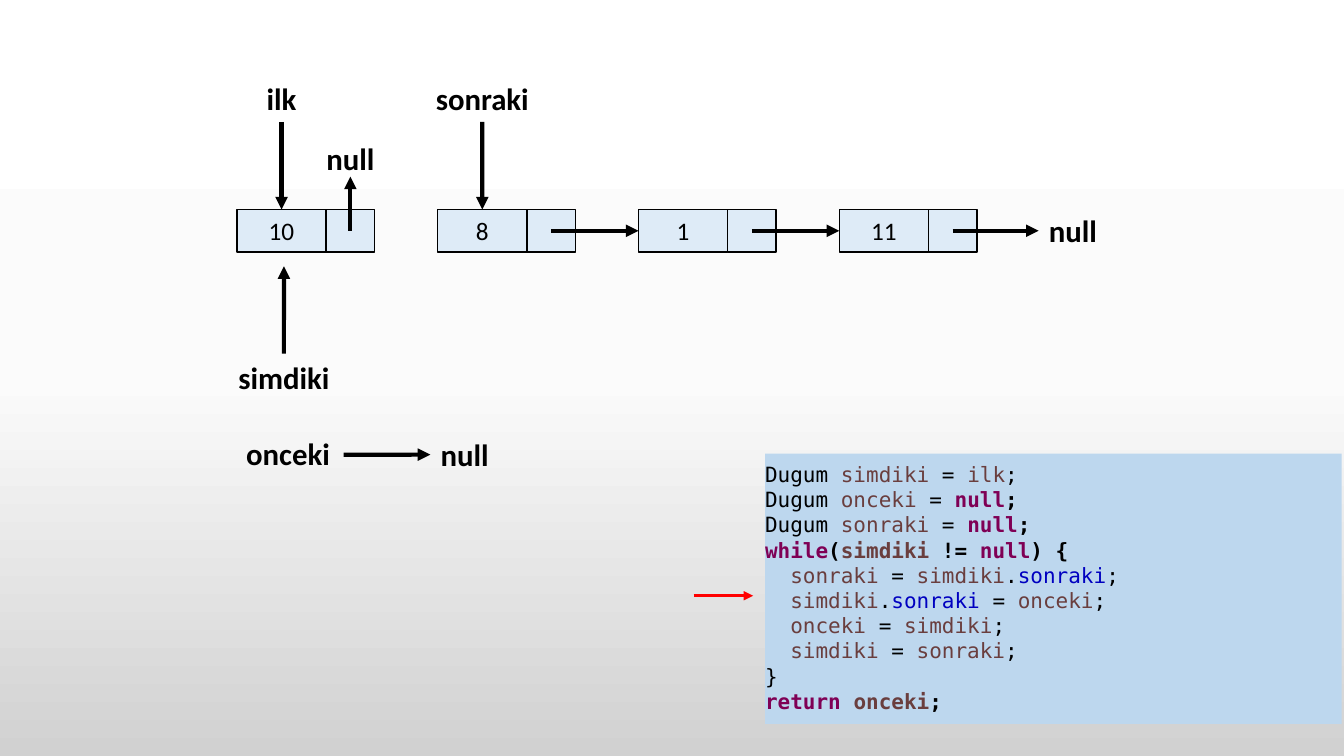
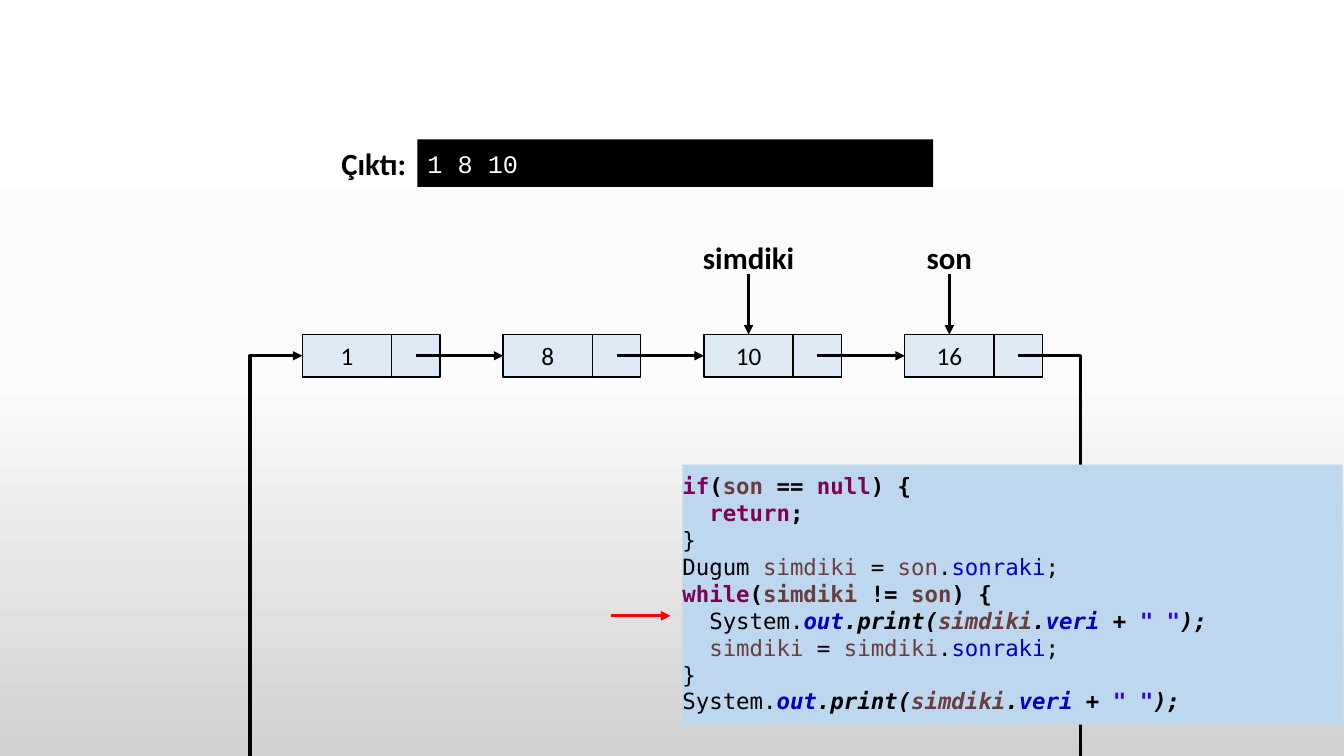
from copy import deepcopy

from lxml import etree
from pptx import Presentation
from pptx.dml.color import RGBColor
from pptx.enum.shapes import MSO_CONNECTOR, MSO_SHAPE
from pptx.enum.text import MSO_ANCHOR, MSO_AUTO_SIZE, PP_ALIGN
from pptx.oxml.ns import qn
from pptx.util import Cm, Pt

RECT = MSO_SHAPE.RECTANGLE
LINE = MSO_CONNECTOR.STRAIGHT
MIDDLE = MSO_ANCHOR.MIDDLE
GROW = MSO_AUTO_SIZE.SHAPE_TO_FIT_TEXT
CENTER = PP_ALIGN.CENTER
LEFT = PP_ALIGN.LEFT
TOP_SIDE, LEFT_SIDE, LOW_SIDE = 0, 1, 2

BLACK = RGBColor(0x00, 0x00, 0x00)
WHITE = RGBColor(0xFF, 0xFF, 0xFF)
RED = RGBColor(0xFF, 0x00, 0x00)
PALE = RGBColor(0xDE, 0xEB, 0xF7)
SKY = RGBColor(0xBD, 0xD7, 0xEE)
FADE = [(0, WHITE), (0.5, RGBColor(0xFB, 0xFB, 0xFB)), (1, RGBColor(0xD1, 0xD1, 0xD1))]
INKS = {
    "p": BLACK,
    "k": RGBColor(0x7F, 0x00, 0x55),
    "v": RGBColor(0x6A, 0x3E, 0x3E),
    "f": RGBColor(0x00, 0x00, 0xC0),
    "s": RGBColor(0x2A, 0x00, 0xFF),
}

WIDE, HIGH = 33.87, 19.05
DATA_W, NEXT_W, NODE_H, STEP = 2.25, 1.22, 1.07, 5.06
LABEL_H = 1.19

TURN = [
    "pDugum |vsimdiki|p = |vilk|p;",
    "pDugum |vonceki|p = |Knull|P;",
    "pDugum |vsonraki|p = |Knull|P;",
    "Kwhile|P(|Vsimdiki|P != |Knull|P) {",
    "v  sonraki |p= |vsimdiki|p.|fsonraki|p;",
    "v  simdiki|p.|fsonraki |p= |vonceki|p;",
    "v  onceki |p= |vsimdiki|p;",
    "v  simdiki |p= |vsonraki|p;",
    "p}",
    "Kreturn |Vonceki|P;",
]
PRINT = 'System.|/Fout|/P.print(|/Vsimdiki|/P.|/Fveri|/P + |/S" "|/P);'
SHOW = [
    "Kif|P(|Vson|P == |Knull|P) {",
    "K  return|P;",
    "p}",
    "pDugum |vsimdiki|p = |vson|p.|fsonraki|p;",
    "Kwhile|P(|Vsimdiki|P != |Vson|P) {",
    "p  " + PRINT,
    "v  simdiki |p= |vsimdiki|p.|fsonraki|p;",
    "p}",
    "p" + PRINT,
]


def fade(master):
    """Give the master its grey vertical gradient."""
    fill = master.background.fill
    fill.gradient()
    fill.gradient_angle = 270
    stops = master.element.find(".//" + qn("a:gsLst"))
    stops.insert(1, deepcopy(stops[0]))
    for stop, (place, color) in zip(fill.gradient_stops, FADE):
        stop.position = place
        stop.color.rgb = color


def write(para, text, size, color, font="Calibri", bold=False, align=CENTER):
    """Fill one paragraph that has a single style."""
    para.text = text
    para.alignment = align
    para.font.size = Pt(size)
    para.font.name = font
    para.font.bold = bold
    para.font.color.rgb = color


def box(slide, left, top, width, height, color, edge=None):
    """Draw a flat rectangle, with a thin edge if one is given."""
    shape = slide.shapes.add_shape(RECT, Cm(left), Cm(top), Cm(width), Cm(height))
    shape.shadow.inherit = False
    shape.fill.solid()
    shape.fill.fore_color.rgb = color
    if edge is None:
        shape.line.fill.background()
    else:
        shape.line.color.rgb = edge
        shape.line.width = Pt(1)
    shape.text_frame.vertical_anchor = MIDDLE
    return shape


def label(slide, mid, top, text, width):
    """Place a bold name centred on the given middle."""
    shape = slide.shapes.add_textbox(Cm(mid - width / 2), Cm(top), Cm(width), Cm(LABEL_H))
    frame = shape.text_frame
    frame.word_wrap = False
    frame.auto_size = GROW
    write(frame.paragraphs[0], text, 22, BLACK, bold=True)
    return shape


def tip(shape):
    """End a line with a triangle."""
    line = shape.line.fill and shape.element.spPr.find(qn("a:ln"))
    etree.SubElement(line, qn("a:tailEnd"), type="triangle")


def arrow(slide, start, end, weight, color=BLACK, source=None, target=None):
    """Draw a straight arrow, joined to (shape, side) pairs if given."""
    line = slide.shapes.add_connector(LINE, *(Cm(n) for n in (*start, *end)))
    line.line.color.rgb = color
    line.line.width = Pt(weight)
    tip(line)
    etree.SubElement(line.element.spPr, qn("a:effectLst"))
    if source:
        line.begin_connect(*source)
    if target:
        line.end_connect(*target)


def bend(slide, points, weight):
    """Draw an open line through the given points."""
    first, *rest = [(Cm(x), Cm(y)) for x, y in points]
    path = slide.shapes.build_freeform(*first)
    path.add_line_segments(rest, close=False)
    shape = path.convert_to_shape()
    shape.shadow.inherit = False
    shape.fill.background()
    shape.line.color.rgb = BLACK
    shape.line.width = Pt(weight)
    return shape


def chain(slide, left, top, values, weight, cut=()):
    """Draw list nodes in a row, linked except after the cut indexes."""
    nodes = []
    for i, value in enumerate(values):
        x = left + i * STEP
        node = box(slide, x, top, DATA_W, NODE_H, PALE, BLACK)
        write(node.text_frame.paragraphs[0], value, 18, BLACK)
        box(slide, x + DATA_W, top, NEXT_W, NODE_H, PALE, BLACK)
        nodes.append(node)
    y = top + NODE_H / 2
    for i, node in enumerate(nodes[1:]):
        if i not in cut:
            x = left + i * STEP
            arrow(slide, (x + DATA_W + NEXT_W / 2, y), (x + STEP, y), weight,
                  target=(node, LEFT_SIDE))
    return nodes


def code(slide, left, top, width, height, lines, size, step):
    """Draw a code panel and a red arrow at the current line."""
    panel = box(slide, left, top, width, height, SKY)
    frame = panel.text_frame
    frame.margin_left = frame.margin_right = 0
    frame.margin_top = frame.margin_bottom = Cm(0.2)
    frame.word_wrap = True
    frame.vertical_anchor = MSO_ANCHOR.TOP
    for i, line in enumerate(lines):
        para = frame.add_paragraph() if i else frame.paragraphs[0]
        para.alignment = LEFT
        para.font.size = Pt(size)
        para.font.name = "DejaVu Sans Mono"
        for part in line.split("|"):
            slant = part.startswith("/")
            part = part.removeprefix("/")
            run = para.add_run()
            run.text = part[1:]
            run.font.color.rgb = INKS[part[0].lower()]
            run.font.bold = part[0].isupper()
            run.font.italic = slant
    y = top + 0.2 + (step + 0.5) * size * 0.041
    arrow(slide, (left - 1.8, y), (left - 0.3, y), 2.25, RED)


def reverse(slide):
    """Build the slide that turns the list around."""
    left, top, weight = 5.97, 5.28, 3
    nodes = chain(slide, left, top, ["10", "8", "1", "11"], weight, cut=(0,))
    mid, hook = left + DATA_W / 2, left + DATA_W + NEXT_W / 2
    y = top + NODE_H / 2
    for i, (name, width) in enumerate([("ilk", 1.27), ("sonraki", 2.87)]):
        x = mid + i * STEP
        head = label(slide, x, top - 3.4, name, width)
        arrow(slide, (x, top - 2.2), (x, top), weight,
              source=(head, LOW_SIDE), target=(nodes[i], TOP_SIDE))
    label(slide, hook, top - 1.88, "null", 1.73)
    arrow(slide, (hook, y), (hook, top - 0.83), weight)
    x = hook + 3 * STEP
    end = label(slide, x + 3.03, y - LABEL_H / 2, "null", 1.73)
    arrow(slide, (x, y), (x + 2.16, y), weight, target=(end, LEFT_SIDE))
    now = label(slide, mid + 0.06, top + 3.63, "simdiki", 2.82)
    arrow(slide, (mid + 0.06, top + 3.63), (mid + 0.06, top + 1.43), weight,
          source=(now, TOP_SIDE))
    label(slide, 7.26, 10.82, "onceki", 2.64)
    end = label(slide, 11.71, 10.86, "null", 1.73)
    arrow(slide, (8.66, 11.46), (10.85, 11.46), weight, target=(end, LEFT_SIDE))
    code(slide, 19.28, 11.43, 14.53, 6.81, TURN, 15, 5)


def output(slide, left, top, width, height):
    """Draw the console strip with its caption."""
    label(slide, left - 1.1, top, "Çıktı:", 2.16)
    strip = box(slide, left, top, width, height, BLACK)
    write(strip.text_frame.paragraphs[0], "1 8 10", 18, WHITE, "Courier New", align=LEFT)


def circle(slide):
    """Build the slide that prints the circular list."""
    left, top, weight = 7.62, 8.43, 2.25
    output(slide, 10.52, 3.51, 13, 1.2)
    nodes = chain(slide, left, top, ["1", "8", "10", "16"], weight)
    for i, name, width in [(2, "simdiki", 2.82), (3, "son", 1.68)]:
        x = left + i * STEP + DATA_W / 2
        label(slide, x, top - 2.55, name, width)
        arrow(slide, (x, top - 1.53), (x, top), weight, target=(nodes[i], TOP_SIDE))
    y = top + NODE_H / 2
    last = left + 3 * STEP + DATA_W + NEXT_W / 2
    bend(slide, [(last, y), (last + 1.57, y), (last + 1.57, HIGH)], weight)
    tip(bend(slide, [(left - 1.32, HIGH), (left - 1.32, y), (left, y)], weight))
    code(slide, 17.2, 11.71, 16.64, 6.55, SHOW, 16, 5)


def main():
    """Build and save the deck."""
    deck = Presentation()
    deck.slide_width, deck.slide_height = Cm(WIDE), Cm(HIGH)
    fade(deck.slide_master)
    for build in (reverse, circle):
        build(deck.slides.add_slide(deck.slide_layouts[6]))
    deck.save("out.pptx")


if __name__ == "__main__":
    main()
